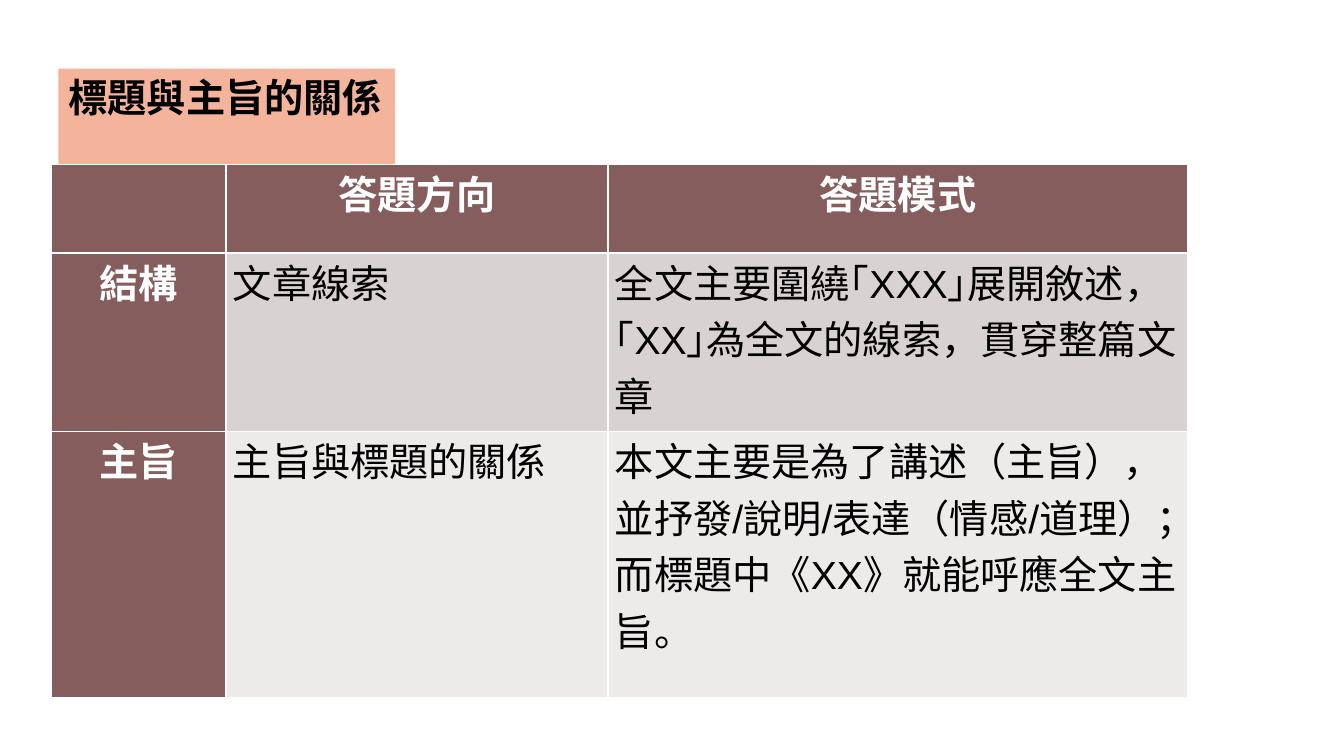
from dataclasses import dataclass

from pptx import Presentation
from pptx.dml.color import RGBColor
from pptx.enum.text import MSO_ANCHOR as Anchor, MSO_AUTO_SIZE as AutoSize, PP_ALIGN as Align
from pptx.util import Emu, Inches, Pt

BLACK = RGBColor(0x00, 0x00, 0x00)
WHITE = RGBColor(0xFF, 0xFF, 0xFF)
PEACH = RGBColor(0xF4, 0xB3, 0x9B)
MAROON = RGBColor(0x85, 0x5D, 0x5D)
ROSE_GREY = RGBColor(0xD9, 0xD2, 0xD2)
PALE_GREY = RGBColor(0xED, 0xEA, 0xEA)

SIZE = Pt(28)
SLIDE_W, SLIDE_H = Inches(13.33), Inches(7.5)

# Column widths and row heights, in percent of the slide
COLS = (12.98, 28.43, 43.14)
ROWS = (11.73, 23.6, 35.2)


@dataclass(frozen=True)
class CellStyle:
    fill: RGBColor
    color: RGBColor
    bold: bool
    align: Align


HEAD = CellStyle(MAROON, WHITE, True, Align.CENTER)
BODY = (
    CellStyle(ROSE_GREY, BLACK, False, Align.LEFT),
    CellStyle(PALE_GREY, BLACK, False, Align.LEFT),
)

CONTENT = (
    ("", "答題方向", "答題模式"),
    ("結構", "文章線索", "全文主要圍繞｢XXX｣展開敘述，｢XX｣為全文的線索，貫穿整篇文章"),
    ("主旨", "主旨與標題的關係",
     "本文主要是為了講述（主旨），並抒發/說明/表達（情感/道理）；"
     "而標題中《XX》就能呼應全文主旨。"),
)


def across(percent: float) -> Emu:
    return Emu(round(SLIDE_W * percent / 100))


def down(percent: float) -> Emu:
    return Emu(round(SLIDE_H * percent / 100))


def style_font(font, name: str, color: RGBColor, bold: bool) -> None:
    font.name, font.size, font.bold = name, SIZE, bold
    font.color.rgb = color


def add_heading(slide, text: str) -> None:
    sp = slide.shapes.title
    sp.left, sp.top = across(4.35), down(9.07)
    sp.width, sp.height = across(25.06), down(7.6)
    sp.fill.solid()
    sp.fill.fore_color.rgb = PEACH
    tf = sp.text_frame
    tf.text = text
    tf.word_wrap = False
    tf.auto_size = AutoSize.SHAPE_TO_FIT_TEXT
    tf.vertical_anchor = Anchor.TOP
    p = tf.paragraphs[0]
    p.alignment = Align.LEFT
    style_font(p.runs[0].font, "Calibri", BLACK, True)


def fill_cell(cell, text: str, style: CellStyle) -> None:
    cell.fill.solid()
    cell.fill.fore_color.rgb = style.fill
    cell.margin_left = cell.margin_right = Inches(0.07)
    cell.margin_top = cell.margin_bottom = 0
    cell.vertical_anchor = Anchor.TOP
    cell.text_frame.text = text
    p = cell.text_frame.paragraphs[0]
    p.alignment = style.align
    style_font(p.font, "Arial", style.color, style.bold)
    for r in p.runs:
        style_font(r.font, "Arial", style.color, style.bold)


def add_answer_table(slide) -> None:
    table = slide.shapes.add_table(
        len(ROWS), len(COLS), across(3.83), down(21.73),
        across(sum(COLS)), down(sum(ROWS))).table
    table.first_col = True
    for column, width in zip(table.columns, COLS):
        column.width = across(width)
    for i, (row, height) in enumerate(zip(table.rows, ROWS)):
        row.height = down(height)
        for j, text in enumerate(CONTENT[i]):
            style = HEAD if i == 0 or j == 0 else BODY[i - 1]
            fill_cell(table.cell(i, j), text, style)


def main() -> None:
    prs = Presentation()
    prs.slide_width, prs.slide_height = SLIDE_W, SLIDE_H
    # Title Only layout
    slide = prs.slides.add_slide(prs.slide_layouts[5])
    add_heading(slide, "標題與主旨的關係")
    add_answer_table(slide)
    prs.save("out.pptx")


if __name__ == "__main__":
    main()
